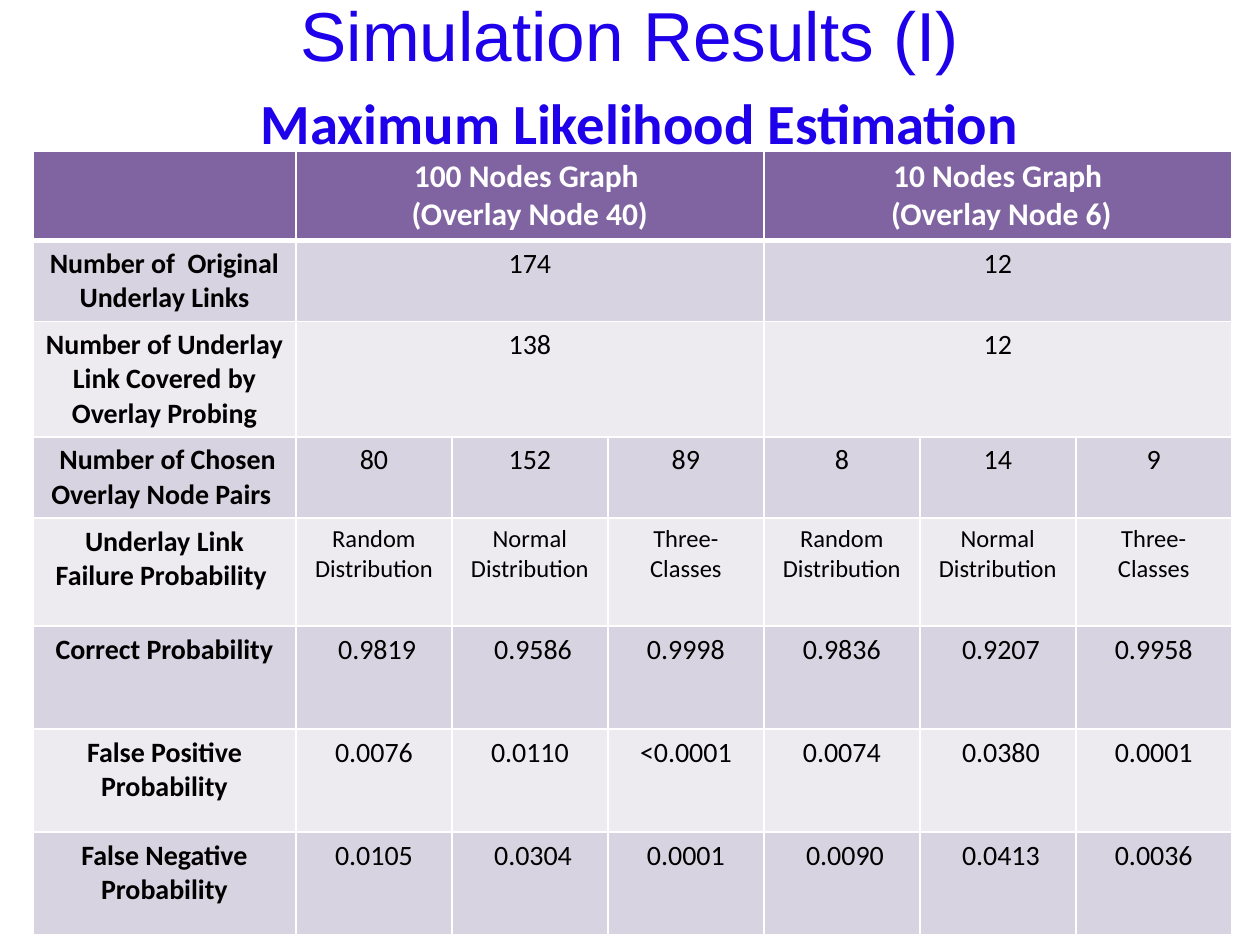
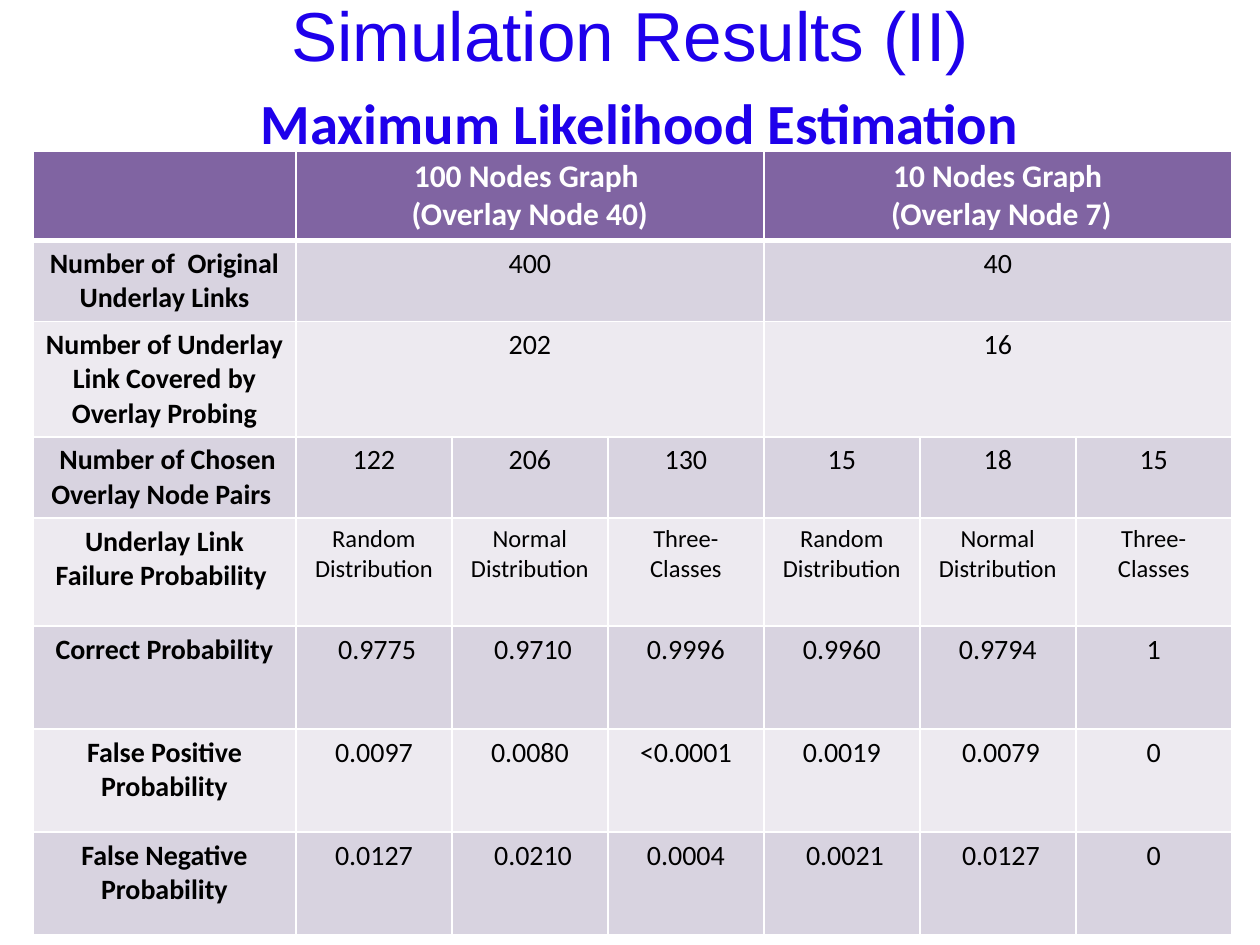
import pptx
import pptx.dml.color
import pptx.enum.text
import pptx.oxml
import pptx.oxml.ns
import pptx.util

PIXEL = pptx.util.Inches(1) / 126
TITLE_BLUE = "1E00EB"
HEADER_PURPLE = "8064A2"
BANDS = ["D8D3E0", "EDEAF0"]
WHITE, BLACK = "FFFFFF", "000000"
TITLE_FORMAT = {"size": 39.6, "font": "Arial", "color": TITLE_BLUE}
SUBTITLE_FORMAT = {"size": 32.4, "font": "Calibri", "color": TITLE_BLUE, "bold": True}

COLUMN_WIDTHS = [263] + [156] * 6
ROW_HEIGHTS = [84, 53, 53, 76, 108, 103, 103, 103]
ROW_LABELS = [
    "Number of  Original Underlay Links",
    "Number of Underlay Link Covered by Overlay Probing",
    " Number of Chosen Overlay Node Pairs ",
    "Underlay Link Failure Probability ",
    "Correct Probability",
    "False Positive Probability",
    "False Negative Probability",
]
DISTRIBUTIONS = ["Random Distribution", "Normal Distribution", "Three-Classes"] * 2
DISTRIBUTION_ROW = 4

RESULTS = [
    {
        "title": "Simulation Results (I)",
        "graphs": ["100 Nodes Graph \n(Overlay Node 40)", "10 Nodes Graph\n (Overlay Node 6)"],
        "rows": [
            ["174", "12"],
            ["138", "12"],
            ["80", "152", "89", "8", "14", "9"],
            DISTRIBUTIONS,
            [" 0.9819", " 0.9586", "0.9998", "0.9836", " 0.9207", "0.9958"],
            ["0.0076", "0.0110", "<0.0001", "0.0074", " 0.0380", "0.0001"],
            ["0.0105", " 0.0304", "0.0001", " 0.0090", " 0.0413", "0.0036"],
        ],
    },
    {
        "title": "Simulation Results (II)",
        "graphs": ["100 Nodes Graph \n(Overlay Node 40)", "10 Nodes Graph\n (Overlay Node 7)"],
        "rows": [
            ["400", "40"],
            ["202", "16"],
            ["122", "206", "130", "15", "18", "15"],
            DISTRIBUTIONS,
            [" 0.9775", " 0.9710", "0.9996", "0.9960", "0.9794", "1"],
            ["0.0097", "0.0080", "<0.0001", "0.0019", " 0.0079", "0"],
            ["0.0127", " 0.0210", "0.0004", " 0.0021", " 0.0127", "0"],
        ],
    },
]


def px(length):
    return pptx.util.Emu(round(length * PIXEL))


def rgb(color):
    return pptx.dml.color.RGBColor.from_string(color)


def add_text(paragraph, text, size=16, font="Calibri", color=BLACK, bold=False):
    paragraph.alignment = pptx.enum.text.PP_ALIGN.CENTER
    run = paragraph.add_run()
    run.text = text
    run.font.size = pptx.util.Pt(size)
    run.font.name = font
    run.font.bold = bold
    run.font.color.rgb = rgb(color)


def set_master_title_style(presentation):
    """Give line breaks in titles the same font and size as the title text."""
    qn = pptx.oxml.ns.qn
    style = presentation.slide_master.element.find(".//" + qn("p:titleStyle"))
    defaults = style.find(qn("a:lvl1pPr")).find(qn("a:defRPr"))
    defaults.set("sz", str(round(TITLE_FORMAT["size"] * 100)))
    defaults.find(qn("a:latin")).set("typeface", TITLE_FORMAT["font"])


def fill_title(slide, text):
    title = slide.shapes.title
    title.left, title.top, title.width, title.height = px(63), px(38), px(1134), px(157)
    frame = title.text_frame
    frame.word_wrap = True
    frame.auto_size = pptx.enum.text.MSO_AUTO_SIZE.NONE
    frame.vertical_anchor = pptx.enum.text.MSO_ANCHOR.MIDDLE
    paragraph = frame.paragraphs[0]
    add_text(paragraph, text, **TITLE_FORMAT)
    paragraph.add_line_break()
    add_text(paragraph, " ", **TITLE_FORMAT)
    add_text(paragraph, "Maximum Likelihood Estimation", **SUBTITLE_FORMAT)
    paragraph.add_line_break()


def style_cell(cell, fill, bottom_width=1):
    properties = cell._tc.get_or_add_tcPr()
    for side, width in zip("LRTB", [1, 1, 1, bottom_width]):
        properties.append(pptx.oxml.parse_xml(
            f'<a:ln{side} {pptx.oxml.ns.nsdecls("a")} w="{pptx.util.Pt(width)}">'
            f'<a:solidFill><a:srgbClr val="{WHITE}"/></a:solidFill></a:ln{side}>'))
    cell.fill.solid()
    cell.fill.fore_color.rgb = rgb(fill)


def fill_cell(cell, text, **text_format):
    frame = cell.text_frame
    for index, line in enumerate(text.split("\n")):
        paragraph = frame.add_paragraph() if index else frame.paragraphs[0]
        add_text(paragraph, line, **text_format)


def fill_values(table, row, values, **text_format):
    """Spread the values evenly over the six value columns, merging where needed."""
    span = 6 // len(values)
    for index, value in enumerate(values):
        column = 1 + index * span
        cell = table.cell(row, column)
        if span > 1:
            cell.merge(table.cell(row, column + span - 1))
        fill_cell(cell, value, **text_format)


def add_results_table(slide, graphs, rows):
    table = slide.shapes.add_table(
        len(ROW_HEIGHTS), len(COLUMN_WIDTHS), px(33), px(151),
        px(sum(COLUMN_WIDTHS)), px(sum(ROW_HEIGHTS))).table
    table.horz_banding = False
    for column, width in zip(table.columns, COLUMN_WIDTHS):
        column.width = px(width)
    for index, height in enumerate(ROW_HEIGHTS):
        table.rows[index].height = px(height)
        for cell in table.rows[index].cells:
            if index == 0:
                style_cell(cell, HEADER_PURPLE, bottom_width=3)
            else:
                style_cell(cell, BANDS[(index - 1) % 2])

    fill_values(table, 0, graphs, size=18, color=WHITE, bold=True)
    for row, (label, values) in enumerate(zip(ROW_LABELS, rows), start=1):
        fill_cell(table.cell(row, 0), label, bold=True)
        fill_values(table, row, values, size=14 if row == DISTRIBUTION_ROW else 16)


def main():
    presentation = pptx.Presentation()
    presentation.slide_width, presentation.slide_height = px(1260), px(945)
    set_master_title_style(presentation)
    title_only = presentation.slide_layouts.get_by_name("Title Only")
    for result in RESULTS:
        slide = presentation.slides.add_slide(title_only)
        fill_title(slide, result["title"])
        add_results_table(slide, result["graphs"], result["rows"])
    presentation.save("out.pptx")


if __name__ == "__main__":
    main()
